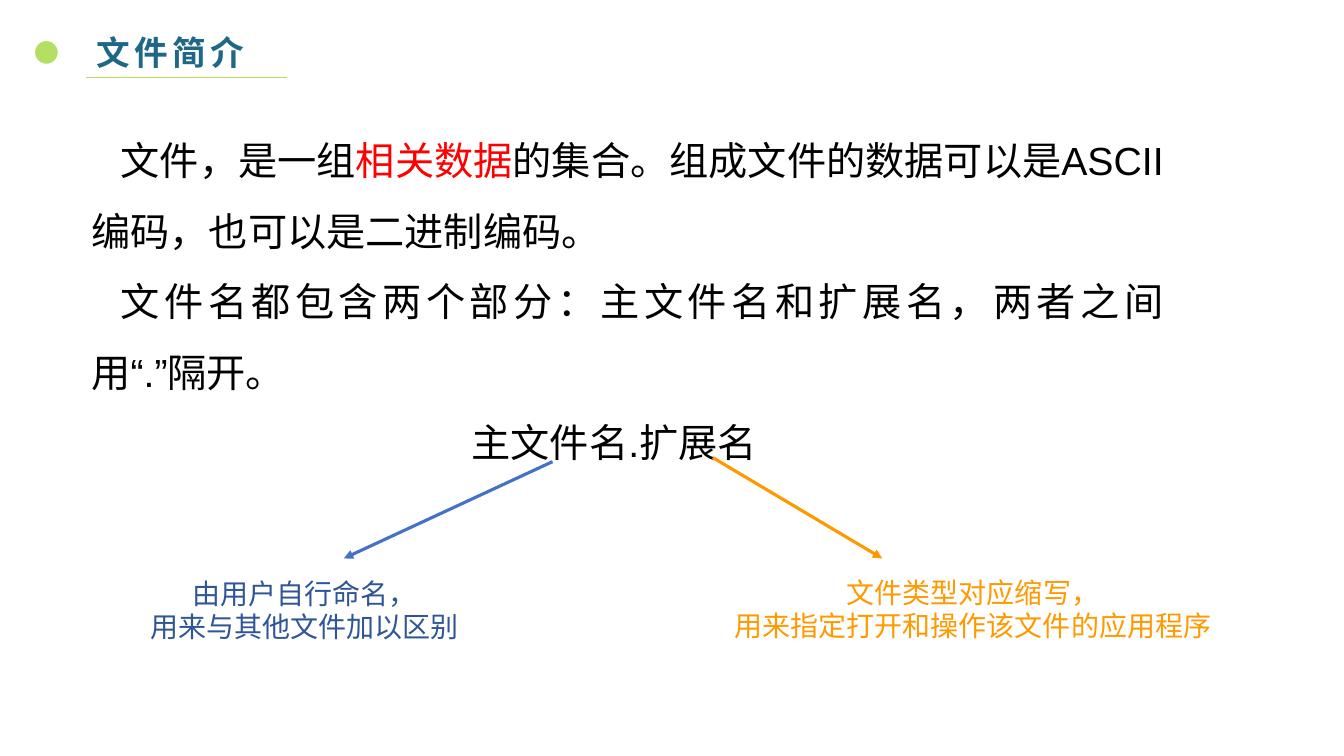
from dataclasses import dataclass

from lxml import etree
from pptx import Presentation
from pptx.dml.color import RGBColor
from pptx.enum import shapes, text
from pptx.oxml import ns
from pptx.util import Inches, Pt


@dataclass(frozen=True)
class Theme:
    title: str = "1E6787"
    green: str = "B3DF63"
    white: str = "FFFFFF"
    black: str = "000000"
    red: str = "FF0000"
    blue: str = "2F5597"
    arrow_blue: str = "4472C4"
    orange: str = "FF9900"
    title_font: str = "Noto Sans CJK SC"
    body_font: str = "Arial"
    title_size: int = 24
    body_size: int = 28
    label_size: int = 20


THEME = Theme()


def rgb(color):
    return RGBColor.from_string(color)


def style_run(r, size, color, font, bold=False):
    r.font.size = Pt(size)
    r.font.color.rgb = rgb(color)
    r.font.name = font
    r.font.bold = bold
    ea = etree.SubElement(r.font._element, ns.qn("a:ea"))
    ea.set("typeface", font)


def add_text_frame(slide, left, top, width, height):
    box = slide.shapes.add_textbox(Inches(left), Inches(top), Inches(width), Inches(height))
    tf = box.text_frame
    tf.word_wrap = True
    return tf


def add_title(slide, words):
    tf = add_text_frame(slide, 0.86, 0.27, 6.45, 0.5)
    tf.text = words
    r = tf.paragraphs[0].runs[0]
    style_run(r, THEME.title_size, THEME.title, THEME.title_font, bold=True)
    r.font._element.set("spc", "300")


def add_dot(slide, left, top, size):
    sp = slide.shapes.add_shape(
        shapes.MSO_SHAPE.OVAL, Inches(left), Inches(top), Inches(size), Inches(size))
    sp.shadow.inherit = False
    sp.fill.solid()
    sp.fill.fore_color.rgb = rgb(THEME.green)
    sp.line.color.rgb = rgb(THEME.white)
    sp.line.width = Pt(1)


def add_line(slide, start, end, color, width, arrow=False):
    line = slide.shapes.add_connector(
        shapes.MSO_CONNECTOR.STRAIGHT, *map(Inches, start + end))
    line.line.color.rgb = rgb(color)
    line.line.width = Pt(width)
    if arrow:
        etree.SubElement(line.line._get_or_add_ln(), ns.qn("a:tailEnd"), type="triangle")
    etree.SubElement(line._element.spPr, ns.qn("a:effectLst"))


def add_body(slide, paragraphs):
    tf = add_text_frame(slide, 0.81, 1.07, 10.83, 6.38)
    for i, (margin, indent, parts) in enumerate(paragraphs):
        p = tf.add_paragraph() if i else tf.paragraphs[0]
        p.alignment = text.PP_ALIGN.JUSTIFY
        p.line_spacing = 1.5
        pPr = p._p.get_or_add_pPr()
        pPr.set("marL", str(Inches(margin)))
        pPr.set("indent", str(Inches(indent)))
        for words, color in parts:
            r = p.add_run()
            r.text = words
            style_run(r, THEME.body_size, color, THEME.body_font)


def add_label(slide, left, top, width, lines, color):
    tf = add_text_frame(slide, left, top, width, 1)
    tf.vertical_anchor = text.MSO_ANCHOR.MIDDLE
    tf.text = "\n".join(lines)
    for p in tf.paragraphs:
        p.alignment = text.PP_ALIGN.CENTER
        style_run(p.runs[0], THEME.label_size, color, THEME.body_font)


def main():
    prs = Presentation()
    prs.slide_width, prs.slide_height = Inches(13.33), Inches(7.5)
    slide = prs.slides.add_slide(prs.slide_layouts[6])

    add_title(slide, "文件简介")
    add_dot(slide, 0.34, 0.4, 0.24)
    add_line(slide, (0.85, 0.77), (2.85, 0.77), THEME.green, 0.5)
    add_body(slide, [
        (0, 0.29, [
            ("文件，是一组", THEME.black),
            ("相关数据", THEME.red),
            ("的集合。组成文件的数据可以是ASCII编码，也可以是二进制编码。", THEME.black),
        ]),
        (0, 0.29, [("文件名都包含两个部分：主文件名和扩展名，两者之间用“.”隔开。", THEME.black)]),
        (3.77, 0, [("主文件名.扩展名", THEME.black)]),
    ])
    add_label(slide, 0.58, 5.55, 4.88,
              ["由用户自行命名，", "用来与其他文件加以区别"], THEME.blue)
    add_label(slide, 7.07, 5.54, 5.16,
              ["文件类型对应缩写，", "用来指定打开和操作该文件的应用程序"], THEME.orange)
    add_line(slide, (5.48, 4.58), (3.41, 5.54), THEME.arrow_blue, 2.25, arrow=True)
    add_line(slide, (7.07, 4.54), (8.75, 5.54), THEME.orange, 2.25, arrow=True)

    prs.save("out.pptx")


if __name__ == "__main__":
    main()
